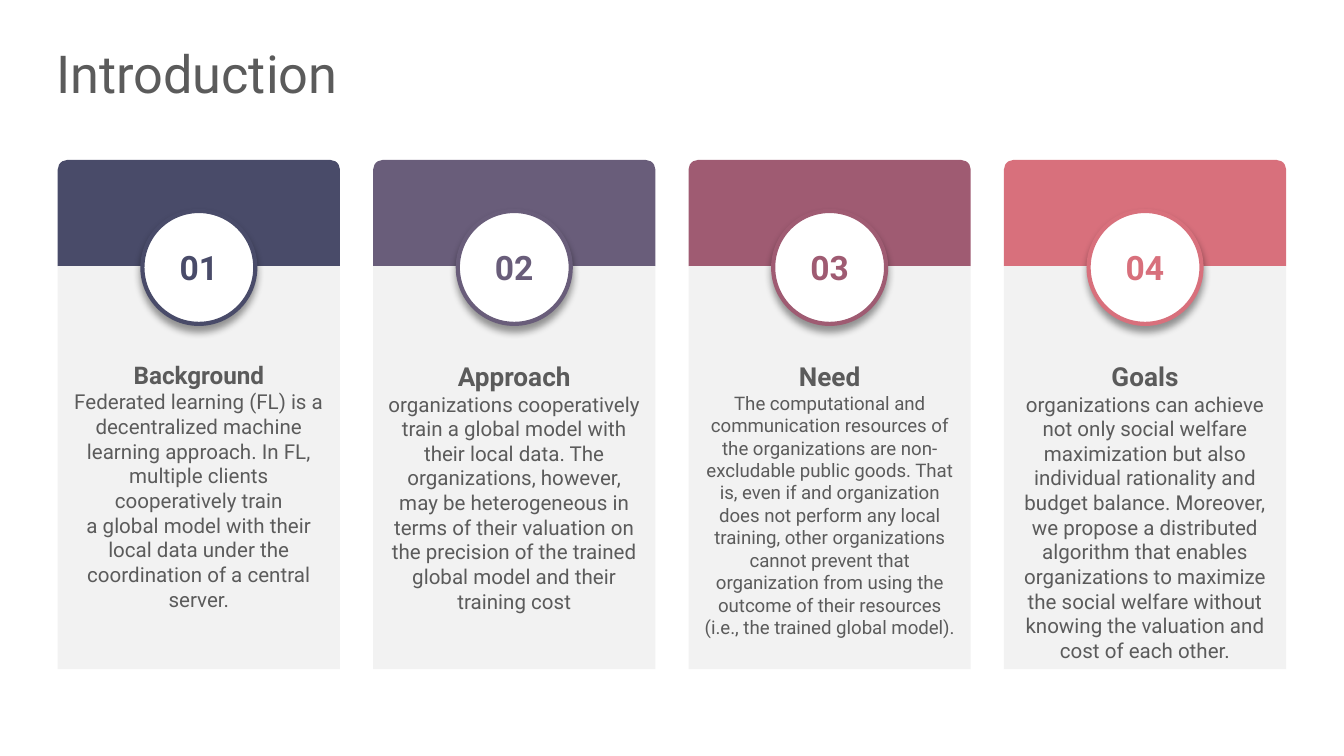
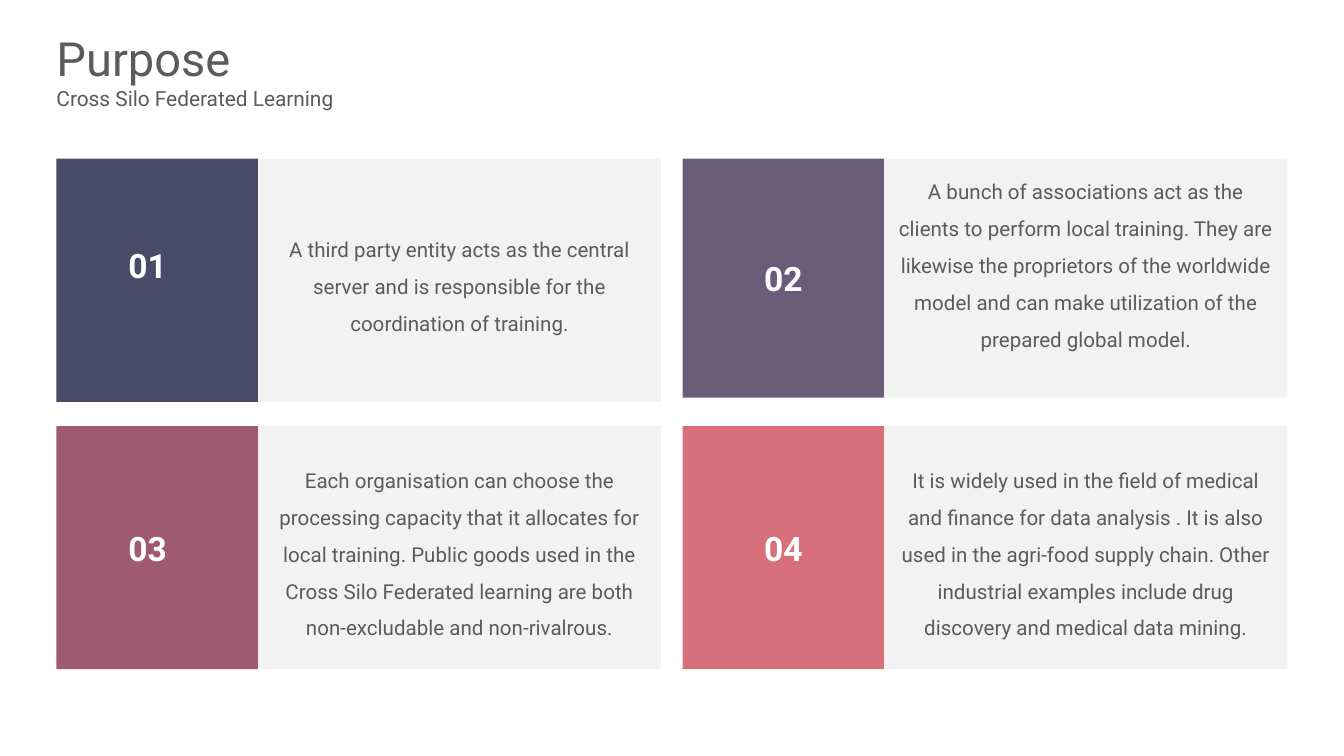
from copy import deepcopy

from lxml import etree
from pptx import Presentation
from pptx.dml.color import RGBColor
from pptx.enum.shapes import MSO_SHAPE
from pptx.enum.text import MSO_ANCHOR, PP_ALIGN
from pptx.oxml import parse_xml
from pptx.oxml.ns import nsdecls, qn
from pptx.util import Inches, Pt

FONT = "Roboto"
TEXT, PANEL, WHITE = "5B5B5B", "F2F2F2", "FFFFFF"
ACCENTS = ["494B69", "695D7A", "9F5B72", "D8707C"]
INSETS = (0.1, 0.05, 0.1, 0.05)

# heading, heading size, body size, body paragraphs
CARDS = [
    ("Background", 13, 11, [
        "Federated learning (FL) is a decentralized machine",
        "learning approach. In FL, multiple clients cooperatively train",
        "a global model with their local data under the coordination of a central server.",
    ]),
    ("Approach", 14, 11, [
        "organizations cooperatively train a global model with their local data. "
        "The organizations, however, may be heterogeneous in terms of their valuation "
        "on the precision of the trained global model and their training cost",
    ]),
    ("Need", 14, 10, [
        "The computational and communication resources of the organizations are "
        "non-excludable public goods. That is, even if and organization does not perform "
        "any local training, other organizations cannot prevent that organization from "
        "using the outcome of their resources (i.e., the trained global model).",
    ]),
    ("Goals", 14, 11, [
        "organizations can achieve not only social welfare maximization but also "
        "individual rationality and budget balance. Moreover, we propose a distributed "
        "algorithm that enables organizations to maximize the social welfare without "
        "knowing the valuation and cost of each other.",
    ]),
]

# text, tile height, insets of the number, insets of the text
TILES = [
    ("A third party entity acts as the central server and is responsible for the "
     "coordination of training.", 1.81, (0.1, 0.05, 0.24, 0.27), INSETS),
    ("A bunch of associations act as the clients to perform local training. They are "
     "likewise the proprietors of the worldwide model and can make utilization of the "
     "prepared global model.", 1.78, INSETS, (0.1, 0.05, 0.1, 0.33)),
    ("Each organisation can choose the processing capacity that it allocates for local "
     "training. Public goods used in the Cross Silo Federated learning are both "
     "non-excludable and non-rivalrous.", 1.81, (0.1, 0.05, 0.24, 0.05), INSETS),
    ("It is widely used in the field of medical and finance for data analysis . It is "
     "also used in the agri-food supply chain. Other industrial examples include drug "
     "discovery and medical data mining.", 1.81, INSETS, INSETS),
]


def rgb(color):
    return RGBColor.from_string(color)


def set_frame(shape, insets=INSETS, anchor=MSO_ANCHOR.MIDDLE):
    frame = shape.text_frame
    frame.word_wrap = True
    frame.vertical_anchor = anchor
    (frame.margin_left, frame.margin_top,
     frame.margin_right, frame.margin_bottom) = map(Inches, insets)


def write(shape, text, size=11, color=TEXT, bold=False, align=PP_ALIGN.CENTER,
          spacing=None, same_para=False):
    """Add a paragraph, or continue the last one on a new line."""
    frame = shape.text_frame
    para = frame.paragraphs[-1]
    if same_para:
        para.add_line_break()
        line_break = next(shape.element.iter(qn("a:br")))
        line_break.append(deepcopy(next(shape.element.iter(qn("a:rPr")))))
    elif frame.text:
        para = frame.add_paragraph()
    para.alignment = align
    if spacing:
        para.line_spacing = spacing
    span = para.add_run()
    span.text = text
    span.font.name = FONT
    span.font.size = Pt(size)
    span.font.bold = bold
    span.font.color.rgb = rgb(color)


def add_box(parent, kind, left, top, width, height, fill, line=None):
    box = parent.shapes.add_shape(kind, *map(Inches, (left, top, width, height)))
    box.shadow.inherit = False
    box.fill.solid()
    box.fill.fore_color.rgb = rgb(fill)
    if line:
        box.line.color.rgb = rgb(line)
        box.line.width = Pt(2.25)
    else:
        box.line.fill.background()
    return box


def drop_shadow(shape):
    effects = shape.element.spPr.find(qn("a:effectLst"))
    shadow = parse_xml(
        f'<a:outerShdw {nsdecls("a")} blurRad="{Pt(4)}" dist="{Pt(3)}" dir="5400000" '
        'algn="t" rotWithShape="0"/>')
    color = etree.SubElement(shadow, qn("a:srgbClr"), val="000000")
    etree.SubElement(color, qn("a:alpha"), val="40000")
    effects.append(shadow)


def add_page(deck, title, size, subtitle=None):
    page = deck.slides.add_slide(deck.slide_layouts[6])
    top = 0.29 if subtitle else 0.31
    box = page.shapes.add_textbox(*map(Inches, (0.42, top, 9.15, 0.46)))
    set_frame(box, (0, 0, 0, 0))
    write(box, title, size=size, align=PP_ALIGN.LEFT)
    if subtitle:
        write(box, subtitle, size=11.2, align=PP_ALIGN.LEFT)
    return page


def build_introduction(deck):
    page = add_page(deck, "Introduction", 28)
    width, badge_size = 2.1, 0.84
    first, last = 0.43, 7.47
    step = (last - first) / (len(CARDS) - 1)
    columns = [first + step * index for index in range(len(CARDS))]

    for left, accent, (heading, heading_size, body_size, body) in zip(columns, ACCENTS, CARDS):
        card = page.shapes.add_group_shape()
        band = add_box(card, MSO_SHAPE.ROUND_2_SAME_RECTANGLE, left, 1.19, width, 0.79, accent)
        band.adjustments[0] = 0.09
        panel = add_box(card, MSO_SHAPE.RECTANGLE, left, 1.98, width, 3, PANEL)
        set_frame(panel, (0.1, 0.7, 0.1, 0.05), MSO_ANCHOR.TOP)
        write(panel, heading, size=heading_size, bold=True)
        for index, text in enumerate(body):
            write(panel, text, size=body_size, same_para=index == 0)

    for number, (left, accent) in enumerate(zip(columns, ACCENTS), 1):
        badge = add_box(page, MSO_SHAPE.OVAL, left + (width - badge_size) / 2, 1.57,
                        badge_size, badge_size, WHITE, line=accent)
        drop_shadow(badge)
        set_frame(badge)
        write(badge, f"{number:02}", size=18, color=accent, bold=True)


def build_purpose(deck):
    page = add_page(deck, "Purpose", 25.2, "Cross Silo Federated Learning")
    label_width = 1.5
    for index, (accent, tile) in enumerate(zip(ACCENTS, TILES)):
        text, height, number_insets, text_insets = tile
        row, column = divmod(index, 2)
        left, top = 0.42 + 4.66 * column, 1.18 + 1.99 * row
        label = add_box(page, MSO_SHAPE.RECTANGLE, left, top, label_width, height, accent)
        set_frame(label, number_insets)
        write(label, f"{index + 1:02}", size=18, color=WHITE, bold=True)
        panel = add_box(page, MSO_SHAPE.RECTANGLE, left + label_width, top, 3, height, PANEL)
        set_frame(panel, text_insets)
        write(panel, text, spacing=1.5)


def main():
    deck = Presentation()
    deck.slide_width = Inches(10)
    deck.slide_height = Inches(10 * 9 / 16)
    build_introduction(deck)
    build_purpose(deck)
    deck.save("out.pptx")


if __name__ == "__main__":
    main()
